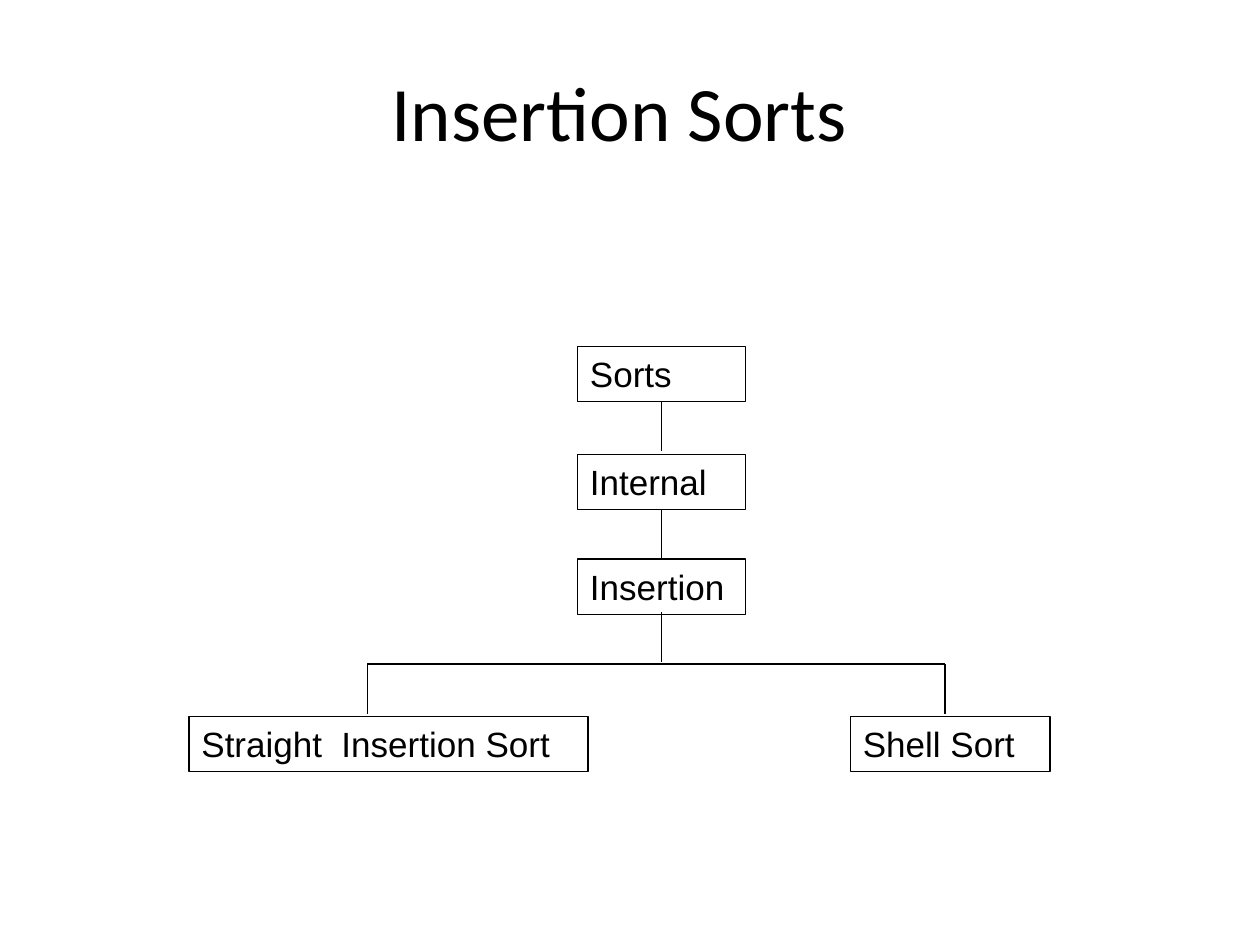
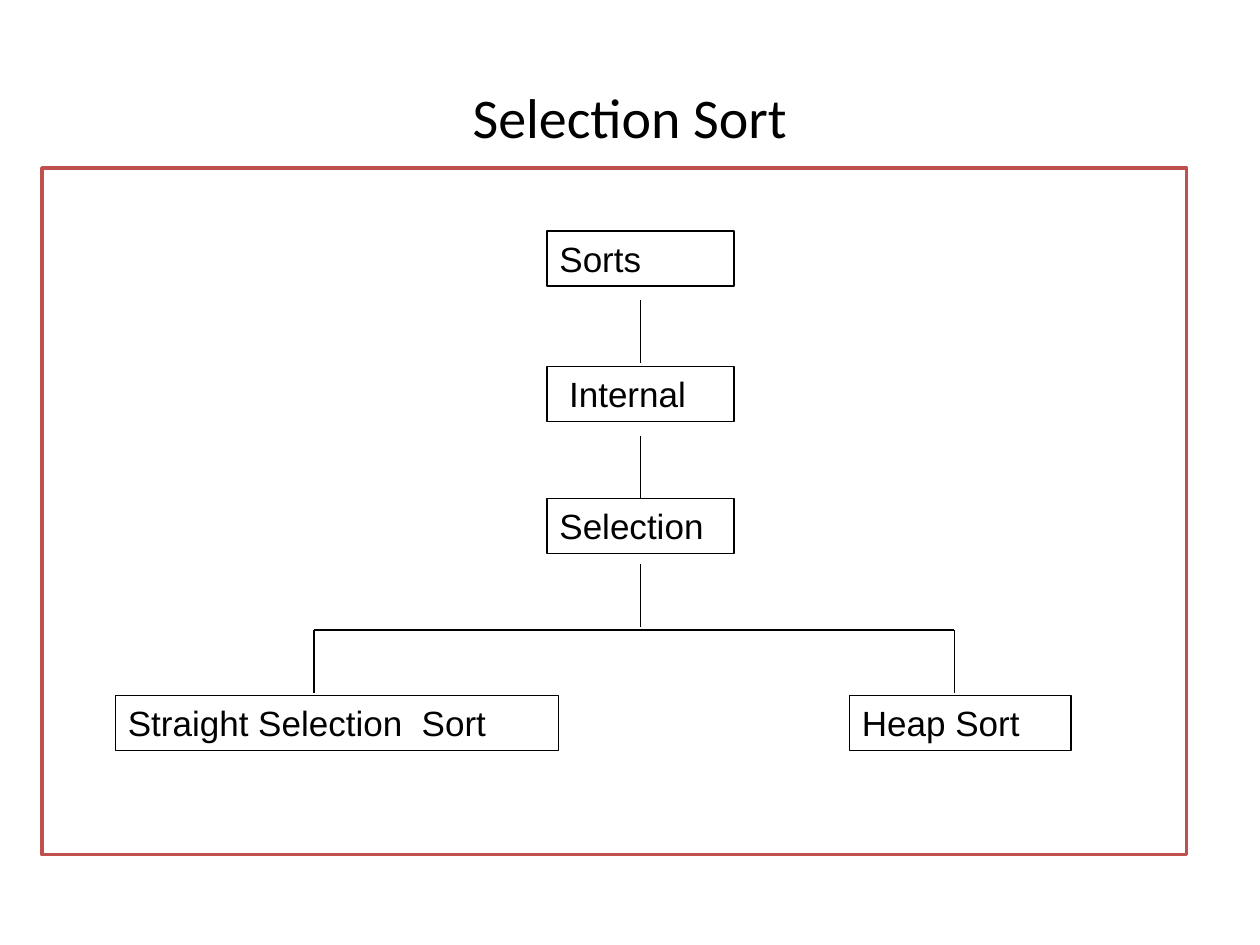
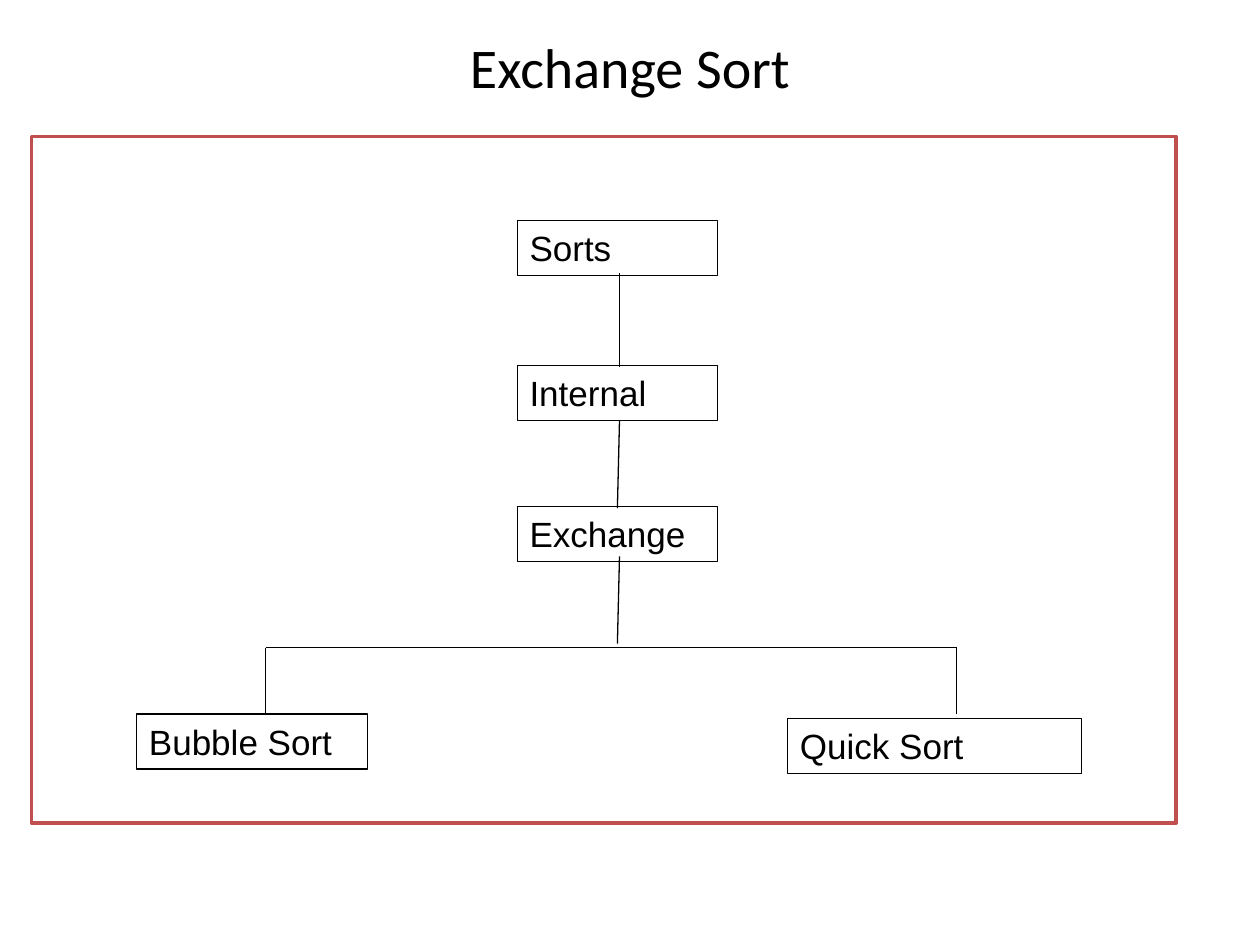
"""Build three slides that show sort families as trees."""
import dataclasses

import lxml.etree
import pptx
import pptx.dml.color
import pptx.enum.shapes
import pptx.enum.text
import pptx.oxml.ns
import pptx.presentation
import pptx.shapes.autoshape
import pptx.slide
import pptx.util

BLACK = pptx.dml.color.RGBColor(0x00, 0x00, 0x00)
WHITE = pptx.dml.color.RGBColor(0xFF, 0xFF, 0xFF)
RED = pptx.dml.color.RGBColor(0xC0, 0x50, 0x4D)

WIDE = pptx.util.Inches(10)
HIGH = pptx.util.Inches(7.5)
COLS = 120
ROWS = 90

HEAD_FONT = "Calibri"
BODY_FONT = "Arial"
BODY_SIZE = 20
HEAD_COLS = 108
NODE_ROWS = 5.25
FRAME_COLS = 109
FRAME_ROWS = 65.4
THIN = 0.75
THICK = 2


@dataclasses.dataclass(frozen=True)
class Title:
    text: str
    size: int
    left: float
    top: float
    rows: float


@dataclasses.dataclass(frozen=True)
class Node:
    text: str
    left: float
    top: float
    cols: float


@dataclasses.dataclass(frozen=True)
class Trunk:
    left: float
    cols: float
    nodes: tuple[tuple[str, float], ...]


@dataclasses.dataclass(frozen=True)
class Line:
    x: float
    y: float
    end_x: float
    end_y: float


@dataclasses.dataclass(frozen=True)
class Fork:
    left: float
    right: float
    top: float
    base: float


@dataclasses.dataclass(frozen=True)
class Tree:
    title: Title
    trunk: Trunk
    stems: tuple[Line, ...]
    fork: Fork
    leaves: tuple[Node, ...]
    frame: tuple[float, float] | None = None


TREES = (
    Tree(
        Title("Insertion Sorts", 44, 5, 3, 15),
        Trunk(55, 16, (("Sorts", 33), ("Internal", 43.25), ("Insertion", 53.25))),
        (Line(63, 38.25, 63, 43), Line(63, 48.5, 63, 53.25), Line(63, 58.25, 63, 63)),
        Fork(35, 90, 63.25, 68),
        (Node("Straight  Insertion Sort", 18, 68.25, 38), Node("Shell Sort", 81, 68.25, 19)),
    ),
    Tree(
        Title("Selection Sort", 32, 6, 3.6, 15),
        Trunk(52.1, 17.8, (("Sorts", 22), (" Internal", 34.9), ("Selection", 47.45))),
        (Line(61, 28.6, 61, 34.6), Line(61, 41.5, 61, 47.45), Line(61, 53.75, 61, 59.7)),
        Fork(29.9, 90.9, 60, 66),
        (Node("Straight Selection  Sort", 11, 66.25, 42.2), Node("Heap Sort", 80.9, 66.25, 21.1)),
        (4, 16),
    ),
    Tree(
        Title("Exchange Sort", 32, 6, 3.6, 5.4),
        Trunk(49.25, 19.1, (("Sorts", 21), ("Internal", 34.8), ("Exchange", 48.25))),
        (Line(59, 26, 59, 35), Line(59, 40.1, 58.8, 48.4), Line(59, 53, 58.8, 61.3)),
        Fork(25.3, 91.1, 61.7, 68),
        (Node("Bubble Sort", 13, 68, 22), Node("Quick Sort", 75, 68.4, 28)),
        (3, 13),
    ),
)


def col(count: float) -> int:
    return round(WIDE * count / COLS)


def row(count: float) -> int:
    return round(HIGH * count / ROWS)


def write(shape: pptx.shapes.autoshape.Shape, text: str, font: str, size: int,
          align: pptx.enum.text.PP_ALIGN, anchor: pptx.enum.text.MSO_ANCHOR) -> None:
    frame = shape.text_frame
    frame.word_wrap = True
    frame.vertical_anchor = anchor
    line = frame.paragraphs[0]
    line.alignment = align
    run = line.add_run()
    run.text = text
    run.font.name = font
    run.font.size = pptx.util.Pt(size)
    run.font.color.rgb = BLACK


def draw_title(slide: pptx.slide.Slide, title: Title) -> None:
    box = slide.shapes.add_textbox(
        col(title.left), row(title.top), col(HEAD_COLS), row(title.rows))
    write(box, title.text, HEAD_FONT, title.size,
          pptx.enum.text.PP_ALIGN.CENTER, pptx.enum.text.MSO_ANCHOR.MIDDLE)


def draw_rect(slide: pptx.slide.Slide, left: float, top: float, cols: float, rows: float,
              tint: pptx.dml.color.RGBColor, weight: float) -> pptx.shapes.autoshape.Shape:
    rect = slide.shapes.add_shape(
        pptx.enum.shapes.MSO_SHAPE.RECTANGLE, col(left), row(top), col(cols), row(rows))
    rect.shadow.inherit = False
    rect.fill.background()
    rect.line.color.rgb = tint
    rect.line.width = pptx.util.Pt(weight)
    return rect


def draw_frame(slide: pptx.slide.Slide, left: float, top: float) -> None:
    rect = draw_rect(slide, left, top, FRAME_COLS, FRAME_ROWS, RED, THICK)
    rect.fill.solid()
    rect.fill.fore_color.rgb = WHITE


def draw_node(slide: pptx.slide.Slide, node: Node) -> None:
    rect = draw_rect(slide, node.left, node.top, node.cols, NODE_ROWS, BLACK, THIN)
    write(rect, node.text, BODY_FONT, BODY_SIZE,
          pptx.enum.text.PP_ALIGN.LEFT, pptx.enum.text.MSO_ANCHOR.TOP)
    rect.text_frame.auto_size = pptx.enum.text.MSO_AUTO_SIZE.SHAPE_TO_FIT_TEXT


def draw_line(slide: pptx.slide.Slide, line: Line) -> None:
    link = slide.shapes.add_connector(
        pptx.enum.shapes.MSO_CONNECTOR.STRAIGHT,
        col(line.x), row(line.y), col(line.end_x), row(line.end_y))
    link.line.color.rgb = BLACK
    link.line.width = pptx.util.Pt(THIN)
    lxml.etree.SubElement(link._element.spPr, pptx.oxml.ns.qn("a:effectLst"))


def draw_fork(slide: pptx.slide.Slide, fork: Fork) -> None:
    for x in (fork.left, fork.right):
        draw_line(slide, Line(x, fork.top, x, fork.base))
    draw_line(slide, Line(fork.left, fork.top, fork.right, fork.top))


def draw_tree(deck: pptx.presentation.Presentation, tree: Tree) -> None:
    slide = deck.slides.add_slide(deck.slide_layouts[6])
    draw_title(slide, tree.title)
    if tree.frame:
        draw_frame(slide, *tree.frame)
    for text, top in tree.trunk.nodes:
        draw_node(slide, Node(text, tree.trunk.left, top, tree.trunk.cols))
    for stem in tree.stems:
        draw_line(slide, stem)
    draw_fork(slide, tree.fork)
    for leaf in tree.leaves:
        draw_node(slide, leaf)


def main() -> None:
    deck = pptx.Presentation()
    deck.slide_width = WIDE
    deck.slide_height = HIGH
    for tree in TREES:
        draw_tree(deck, tree)
    deck.save("out.pptx")


if __name__ == "__main__":
    main()
